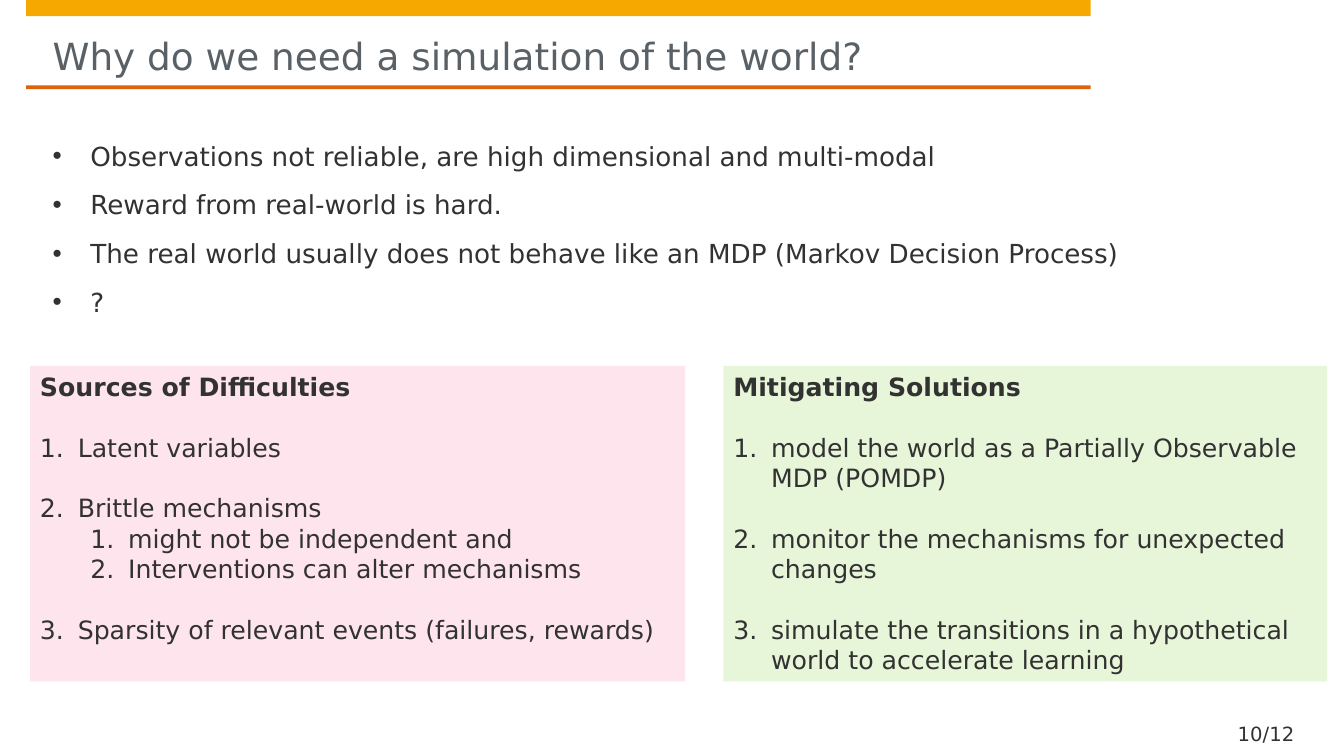
import dataclasses

import pptx
import pptx.dml.color
import pptx.enum.shapes
import pptx.enum.text
import pptx.oxml.ns
import pptx.util
from lxml import etree

Pt = pptx.util.Pt


@dataclasses.dataclass(frozen=True)
class Theme:
    font: str = "DejaVu Sans"
    text: str = "323232"
    title: str = "5A6166"
    top_band: str = "F6A800"
    title_rule: str = "DD640C"
    solutions: str = "92D050"
    difficulties: str = "FDC0D2"
    title_size: float = 26.7
    body_size: float = 18.7
    panel_size: float = 18
    number_size: float = 14
    body_line: float = 26.7
    panel_line: float = 21.7
    indent: float = 27


THEME = Theme()


def color(value):
    return pptx.dml.color.RGBColor.from_string(value)


def place(shape, left, top, width, height):
    shape.left, shape.top = Pt(left), Pt(top)
    shape.width, shape.height = Pt(width), Pt(height)


def prepare_frame(shape, anchor, insets=(0, 0, 0, 0)):
    frame = shape.text_frame
    frame.word_wrap = True
    frame.auto_size = pptx.enum.text.MSO_AUTO_SIZE.NONE
    frame.vertical_anchor = anchor
    frame.margin_left, frame.margin_top, frame.margin_right, frame.margin_bottom = map(Pt, insets)
    return frame


def write(paragraph, text, size, tint=THEME.text, bold=False):
    paragraph.text = text
    paragraph.alignment = pptx.enum.text.PP_ALIGN.LEFT
    font = paragraph.font
    font.name, font.size, font.bold = THEME.font, Pt(size), bold
    font.color.rgb = color(tint)


def add_marker(paragraph, tag, left=THEME.indent, **attributes):
    properties = paragraph._p.get_or_add_pPr()
    properties.set("marL", str(Pt(left)))
    properties.set("indent", str(-Pt(THEME.indent)))
    etree.SubElement(properties, pptx.oxml.ns.qn(tag), **attributes)


def next_paragraph(frame, index):
    return frame.add_paragraph() if index else frame.paragraphs[0]


def add_rectangle(slide, bounds, fill, opacity=100):
    shape = slide.shapes.add_shape(
        pptx.enum.shapes.MSO_SHAPE.RECTANGLE, *map(Pt, bounds))
    shape.shadow.inherit = False
    shape.line.fill.background()
    shape.fill.solid()
    shape.fill.fore_color.rgb = color(fill)
    if opacity < 100:
        tint = shape.fill._xPr.find(".//" + pptx.oxml.ns.qn("a:srgbClr"))
        etree.SubElement(tint, pptx.oxml.ns.qn("a:alpha"), val=str(opacity * 1000))
    return shape


def fill_title(slide, text):
    title = slide.shapes.title
    place(title, 37.5, 11.5, 722, 44)
    frame = prepare_frame(title, pptx.enum.text.MSO_ANCHOR.BOTTOM)
    write(frame.paragraphs[0], text, THEME.title_size, THEME.title)


def fill_body(slide, items):
    body = slide.placeholders[1]
    place(body, 37.5, 95.8, 903.6, 130.3)
    frame = prepare_frame(body, pptx.enum.text.MSO_ANCHOR.TOP)
    for index, item in enumerate(items):
        paragraph = next_paragraph(frame, index)
        add_marker(paragraph, "a:buChar", char="•")
        write(paragraph, item, THEME.body_size)
        paragraph.line_spacing = Pt(THEME.body_line)
        paragraph.space_before = paragraph.space_after = Pt(4)


def add_panel(slide, left, width, fill, opacity, heading, items):
    panel = add_rectangle(slide, (left, 261.4, width, 225.4), fill, opacity)
    frame = prepare_frame(panel, pptx.enum.text.MSO_ANCHOR.TOP, (7.2, 3.6, 7.2, 3.6))
    for index, (level, text) in enumerate([(0, heading)] + items):
        paragraph = next_paragraph(frame, index)
        if index:
            paragraph.level = level
            add_marker(paragraph, "a:buAutoNum", THEME.indent + 36 * level, type="arabicPeriod")
        write(paragraph, text, THEME.panel_size, bold=index == 0)
        paragraph.line_spacing = Pt(THEME.panel_line)
        paragraph.space_before = Pt(THEME.panel_line if index and level == 0 else 0)
        paragraph.space_after = Pt(0)


def add_page_number(slide, text):
    box = slide.shapes.add_textbox(Pt(875.5), Pt(512.6), Pt(65.5), Pt(20.2))
    frame = prepare_frame(box, pptx.enum.text.MSO_ANCHOR.BOTTOM, (8.6, 0, 0, 0))
    write(frame.paragraphs[0], text, THEME.number_size)


def main():
    presentation = pptx.Presentation()
    presentation.slide_width, presentation.slide_height = Pt(960), Pt(540)
    slide = presentation.slides.add_slide(presentation.slide_layouts[1])

    add_rectangle(slide, (18.7, 0, 760.3, 11.5), THEME.top_band)
    add_rectangle(slide, (18.7, 61, 760.3, 2.7), THEME.title_rule)
    fill_title(slide, "Why do we need a simulation of the world?")
    fill_body(slide, [
        "Observations not reliable, are high dimensional and multi-modal",
        "Reward from real-world is hard.",
        "The real world usually does not behave like an MDP (Markov Decision Process)",
        "?",
    ])
    add_panel(slide, 516.7, 431.3, THEME.solutions, 21, "Mitigating Solutions", [
        (0, "model the world as a Partially Observable MDP (POMDP)"),
        (0, "monitor the mechanisms for unexpected changes"),
        (0, "simulate the transitions in a hypothetical world to accelerate learning"),
    ])
    add_panel(slide, 21.5, 468, THEME.difficulties, 40, "Sources of Difficulties", [
        (0, "Latent variables"),
        (0, "Brittle mechanisms"),
        (1, "might not be independent and"),
        (1, "Interventions can alter mechanisms"),
        (0, "Sparsity of relevant events (failures, rewards)"),
    ])
    add_page_number(slide, "10/12")
    presentation.save("out.pptx")


if __name__ == "__main__":
    main()
